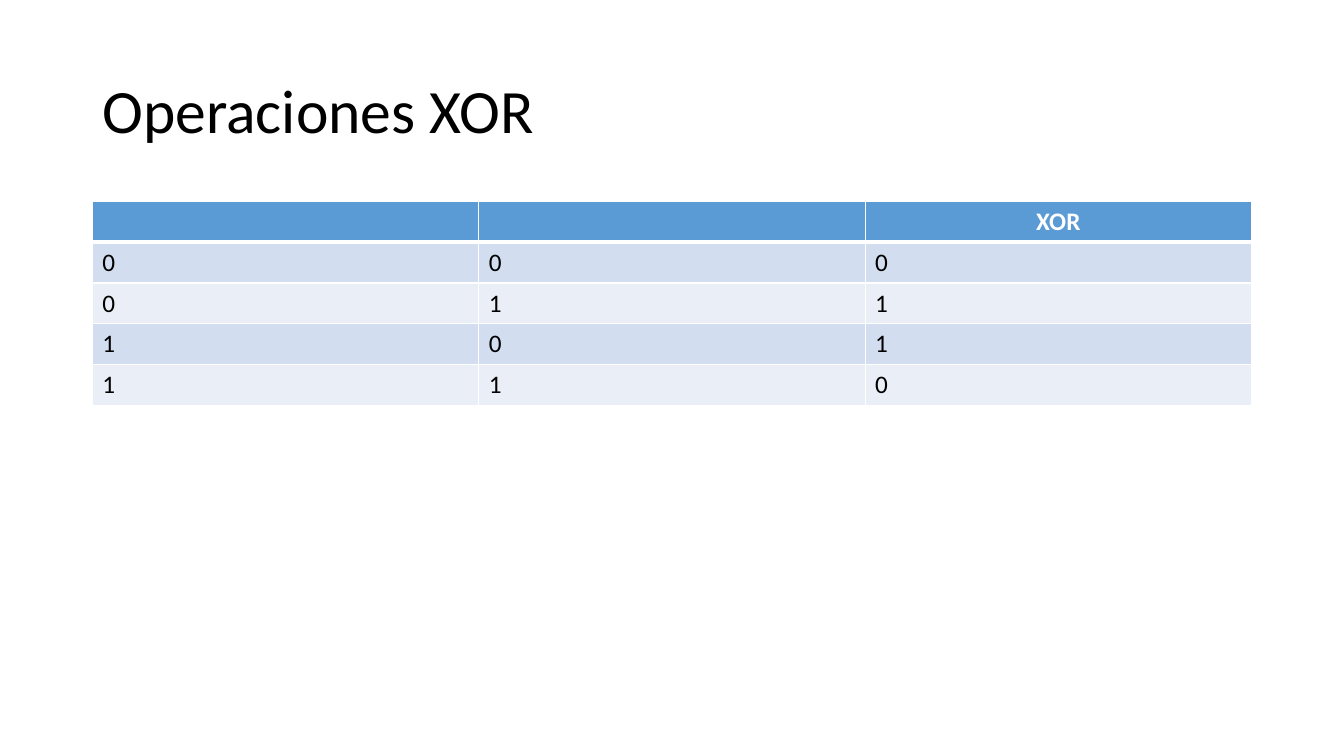
from lxml.etree import SubElement
from pptx import Presentation
from pptx.dml.color import RGBColor
from pptx.enum.text import MSO_ANCHOR as Anchor, PP_ALIGN as Align
from pptx.oxml.ns import qn
from pptx.util import Pt

BLACK = RGBColor(0x00, 0x00, 0x00)
WHITE = RGBColor(0xFF, 0xFF, 0xFF)
HEADER_BLUE = RGBColor(0x5B, 0x9B, 0xD5)
BANDS = [RGBColor(0xD2, 0xDE, 0xEF), RGBColor(0xEA, 0xEF, 0xF7)]

FONT = "Calibri"
LEFT, WIDTH = 66, 828
ROW_HEIGHT = 29.2
HEADINGS = ["", "", "XOR"]
TRUTH_ROWS = [[a, b, a ^ b] for a in (0, 1) for b in (0, 1)]


def write(frame, text, size=18, color=BLACK, bold=False, align=Align.LEFT, spacing=1.0):
    paragraph = frame.paragraphs[0]
    paragraph.alignment = align
    paragraph.line_spacing = spacing
    if text:
        run = paragraph.add_run()
        run.text = text
        font = run.font
        font.name, font.size, font.bold = FONT, Pt(size), bold
        font.color.rgb = color


def set_borders(cell, **widths):
    """Draw white cell borders; widths are keyed by side: L, R, T, B."""
    properties = cell._tc.get_or_add_tcPr()
    for side, width in widths.items():
        line = SubElement(properties, qn(f"a:ln{side}"), w=str(Pt(width)))
        fill = SubElement(line, qn("a:solidFill"))
        SubElement(fill, qn("a:srgbClr"), val=str(WHITE))


def add_title(slide, text):
    title = slide.shapes.title
    title.left, title.top, title.width, title.height = Pt(LEFT), Pt(28.75), Pt(WIDTH), Pt(104.4)
    frame = title.text_frame
    frame.word_wrap = True
    frame.vertical_anchor = Anchor.MIDDLE
    write(frame, text, size=44, spacing=0.9)


def add_truth_table(slide, headings, truth_rows):
    rows = [headings] + truth_rows
    table = slide.shapes.add_table(
        len(rows), len(headings), Pt(LEFT), Pt(143.75), Pt(WIDTH), Pt(ROW_HEIGHT * len(rows))
    ).table
    for row in table.rows:
        row.height = Pt(ROW_HEIGHT)
    for r, values in enumerate(rows):
        header = r == 0
        for c, value in enumerate(values):
            cell = table.cell(r, c)
            # Borders come before the fill in the cell properties
            set_borders(cell, L=1, R=1, T=3 if r == 1 else 1, B=3 if header else 1)
            cell.fill.solid()
            cell.fill.fore_color.rgb = HEADER_BLUE if header else BANDS[(r - 1) % 2]
            write(
                cell.text_frame,
                str(value),
                color=WHITE if header else BLACK,
                bold=header,
                align=Align.CENTER if header else Align.LEFT,
            )


def main():
    presentation = Presentation()
    presentation.slide_width, presentation.slide_height = Pt(960), Pt(540)
    slide = presentation.slides.add_slide(presentation.slide_layouts[5])
    add_title(slide, "Operaciones XOR")
    add_truth_table(slide, HEADINGS, TRUTH_ROWS)
    presentation.save("out.pptx")


main()
